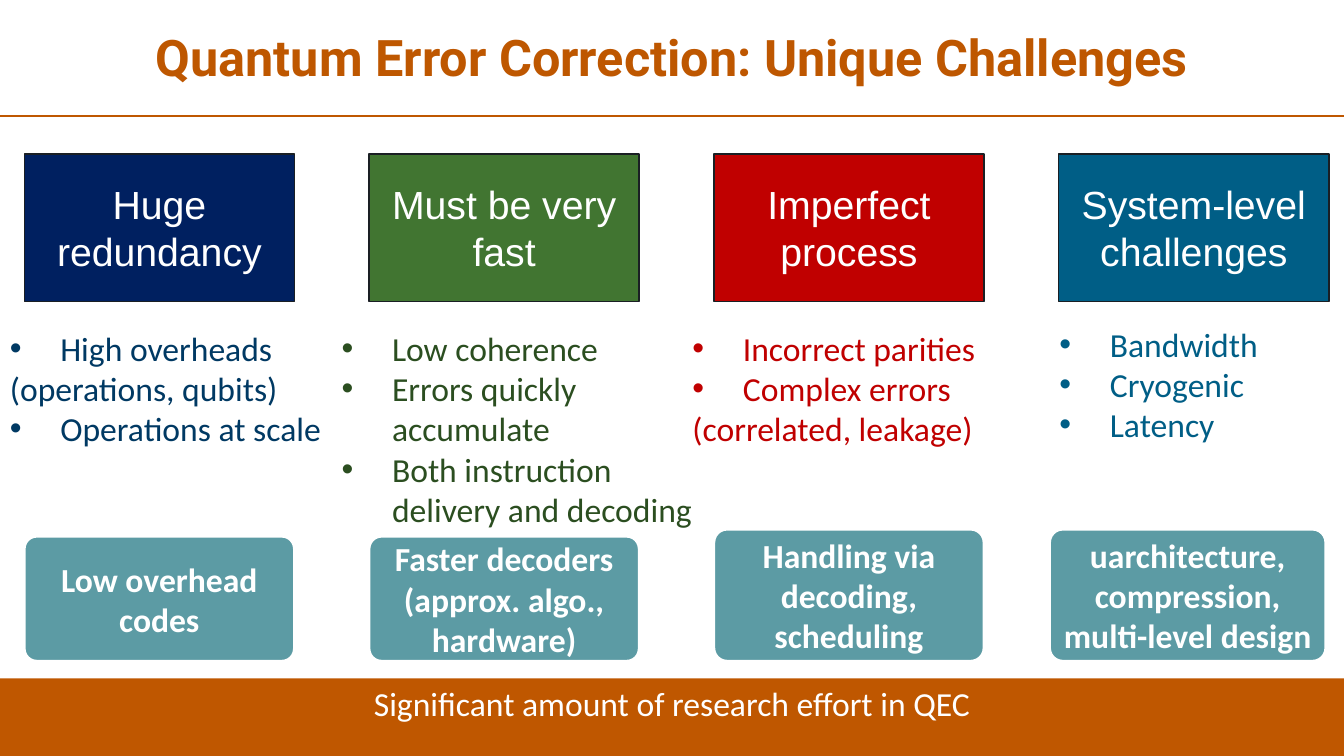
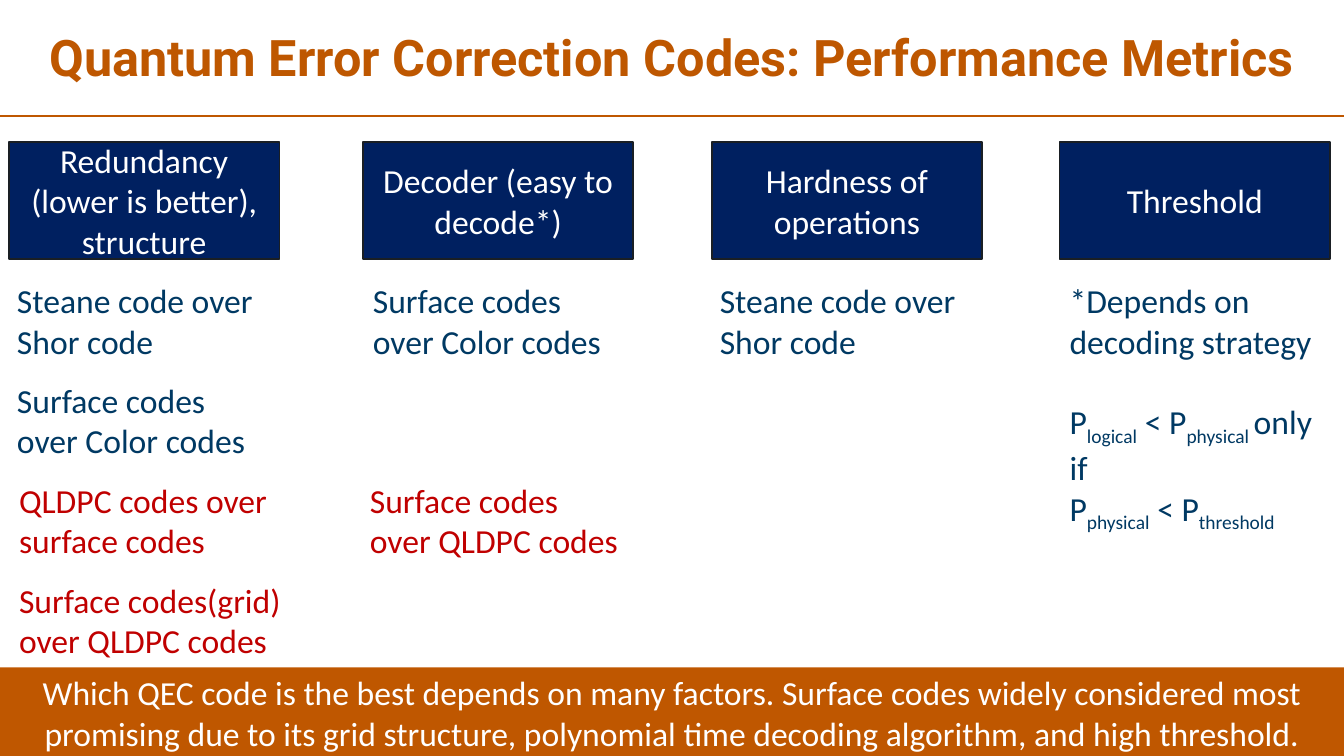
import pptx
import pptx.util
import pptx.dml.color
import pptx.enum.shapes
import pptx.enum.text
import pptx.oxml
import pptx.oxml.ns
import lxml.etree

Inches, Pt = pptx.util.Inches, pptx.util.Pt
RGBColor = pptx.dml.color.RGBColor
SHAPE = pptx.enum.shapes.MSO_SHAPE
ALIGN = pptx.enum.text.PP_ALIGN
ANCHOR = pptx.enum.text.MSO_ANCHOR
FIT = pptx.enum.text.MSO_AUTO_SIZE
qn = pptx.oxml.ns.qn

ORANGE = RGBColor(0xBF, 0x57, 0x00)
TITLE_ORANGE = RGBColor(0xBE, 0x57, 0x00)
WHITE = RGBColor(0xFF, 0xFF, 0xFF)
OUTLINE = RGBColor(0x1A, 0x1F, 0x24)
NAVY = RGBColor(0x00, 0x20, 0x60)
GREEN = RGBColor(0x41, 0x75, 0x31)
RED = RGBColor(0xC0, 0x00, 0x00)
BLUE = RGBColor(0x00, 0x5E, 0x86)
TEAL = RGBColor(0x5C, 0x9B, 0xA4)
DARK_BLUE = RGBColor(0x00, 0x39, 0x63)
DARK_GREEN = RGBColor(0x2B, 0x4E, 0x20)

SLIDE_W, SLIDE_H = 13.33, 7.5
BOX_W = 2.68
TITLE_FONT = {"name": "Roboto", "size": Pt(36), "bold": True}
BODY_FONT = {"name": "Calibri", "size": Pt(24)}
BOLD_FONT = {**BODY_FONT, "bold": True}
HEAD_FONT = {"name": "Arial", "size": Pt(28)}

CHALLENGES = [
    {"head": "Huge redundancy", "fill": NAVY, "color": DARK_BLUE,
     "points": ["• High overheads", "(operations, qubits)", "• Operations at scale"],
     "points_at": (0, 3.2, 3.42, 1.31),
     "answer": "Low overhead codes", "answer_at": (0.24, 5.32, BOX_W, 1.24)},
    {"head": "Must be very fast", "fill": GREEN, "color": DARK_GREEN,
     "points": ["• Low coherence", "• Errors quickly accumulate",
                "• Both instruction delivery and decoding"],
     "points_at": (3.29, 3.2, 3.73, 2.12),
     "answer": "Faster decoders (approx. algo., hardware)",
     "answer_at": (3.66, 5.32, BOX_W, 1.24)},
    {"head": "Imperfect process", "fill": RED, "color": RED,
     "points": ["• Incorrect parities", "• Complex errors", "(correlated, leakage)"],
     "points_at": (6.77, 3.2, 3.73, 1.31),
     "answer": "Handling via decoding, scheduling",
     "answer_at": (7.08, 5.25, BOX_W, 1.31)},
    {"head": "System-level challenges", "fill": BLUE, "color": BLUE,
     "points": ["• Bandwidth", "• Cryogenic", "• Latency"],
     "points_at": (10.41, 3.16, 2.9, 1.31),
     "answer": "uarchitecture, compression, multi-level design",
     "answer_at": (10.41, 5.25, 2.74, 1.31)},
]

METRICS = [
    (0.09, "Redundancy (lower is better), structure", [
        (-0.02, 0, BOX_W, DARK_BLUE, ["Steane code over Shor code"]),
        (-0.02, 1, BOX_W, DARK_BLUE, ["Surface codes over Color codes"]),
        (0, 2, BOX_W, RED, ["QLDPC codes over surface codes"]),
        (0, 3, 3.09, RED, ["Surface codes(grid) over QLDPC codes"])]),
    (3.6, "Decoder (easy to decode*)", [
        (0, 0, BOX_W, DARK_BLUE, ["Surface codes over Color codes"]),
        (-0.03, 2, BOX_W, RED, ["Surface codes over QLDPC codes"])]),
    (7.06, "Hardness of operations", [
        (-0.02, 0, BOX_W, DARK_BLUE, ["Steane code over Shor code"])]),
    (10.51, "Threshold", [
        (0, 0, BOX_W, DARK_BLUE, ["*Depends on decoding strategy",
                                  "P~logical~ < P~physical ~only if",
                                  "P~physical~ < P~threshold~"])]),
]


def place(box):
    """Turn a box in inches into lengths."""
    return [Inches(v) for v in box]


def add_bullet(p):
    """Give a paragraph a hanging round bullet."""
    pPr = p._p.get_or_add_pPr()
    pPr.set("marL", str(Inches(0.5)))
    pPr.set("indent", str(-Inches(0.5)))
    lxml.etree.SubElement(pPr, qn("a:buFont")).set("typeface", "Arial")
    lxml.etree.SubElement(pPr, qn("a:buChar")).set("char", "•")


def write(tf, lines, font, color, align=ALIGN.LEFT):
    """Write paragraphs; a leading • makes a bullet, ~ marks a subscript."""
    tf.word_wrap = True
    for i, line in enumerate(lines):
        p = tf.paragraphs[0] if i == 0 else tf.add_paragraph()
        p.alignment = align
        if line.startswith("• "):
            add_bullet(p)
            line = line[2:]
        for j, piece in enumerate(line.split("~")):
            if not piece:
                continue
            r = p.add_run()
            r.text = piece
            for key, value in font.items():
                setattr(r.font, key, value)
            r.font.color.rgb = color
            if j % 2:
                r.font._element.set("baseline", "-25000")


def add_box(s, box, text, fill, font=BODY_FONT, line=None, kind=SHAPE.RECTANGLE,
            anchor=ANCHOR.MIDDLE):
    """Add a filled shape with centred white text; line is (colour, points)."""
    sp = s.shapes.add_shape(kind, *place(box))
    sp.shadow.inherit = False
    sp.fill.solid()
    sp.fill.fore_color.rgb = fill
    if line:
        sp.line.color.rgb = line[0]
        sp.line.width = Pt(line[1])
    else:
        sp.line.fill.background()
    sp.text_frame.vertical_anchor = anchor
    write(sp.text_frame, [text], font, WHITE, ALIGN.CENTER)
    return sp


def add_text(s, box, lines, color):
    """Add a text box of body text."""
    tf = s.shapes.add_textbox(*place(box)).text_frame
    write(tf, lines, BODY_FONT, color)
    tf.auto_size = FIT.SHAPE_TO_FIT_TEXT
    return tf


def add_frame(prs, title, band_text, band_top):
    """Start a slide with its title, rule and bottom band."""
    s = prs.slides.add_slide(prs.slide_layouts[5])
    sp = s.shapes.title
    sp.left, sp.top, sp.width, sp.height = place((0.09, 0.04, 13.15, 1.11))
    tf = sp.text_frame
    tf.auto_size = FIT.NONE
    tf.vertical_anchor = ANCHOR.MIDDLE
    write(tf, [title], TITLE_FONT, TITLE_ORANGE, ALIGN.CENTER)
    tf.paragraphs[0].line_spacing = 0.9
    rule = s.shapes.add_connector(pptx.enum.shapes.MSO_CONNECTOR.STRAIGHT,
                                  *place((0, 1.15, SLIDE_W, 1.15)))
    rule.line.color.rgb = ORANGE
    rule.line.width = Pt(1.5)
    lxml.etree.SubElement(rule._element.spPr, qn("a:effectLst"))
    add_box(s, (0, band_top, SLIDE_W, SLIDE_H - band_top), band_text, ORANGE,
            anchor=ANCHOR.TOP)
    return s


def add_challenge(s, x, y, c):
    """Add one challenge column: heading, points and answer."""
    add_box(s, (x, y, BOX_W, 1.46), c["head"], c["fill"], HEAD_FONT, (OUTLINE, 1))
    add_text(s, c["points_at"], c["points"], c["color"])
    sp = add_box(s, c["answer_at"], c["answer"], TEAL, BOLD_FONT, (WHITE, 2),
                 SHAPE.ROUNDED_RECTANGLE)
    sp.adjustments[0] = 0.1


def add_metric(s, x, y, head, notes):
    """Add one metric column: heading and notes in rows below it."""
    add_box(s, (x, y, BOX_W, 1.16), head, NAVY, line=(OUTLINE, 1))
    for dx, row, w, color, lines in notes:
        h = 0.91 if len(lines) == 1 else 2.52
        tf = add_text(s, (x + dx, y + 1.32 + row * 0.99, w, h), lines, color)
        if len(lines) > 1:
            tf.paragraphs[1].space_before = Pt(29)


def main():
    """Build and save the deck."""
    prs = pptx.Presentation()
    prs.slide_width, prs.slide_height = Inches(SLIDE_W), Inches(SLIDE_H)

    s = add_frame(prs, "Quantum Error Correction: Unique Challenges",
                  "Significant amount of research effort in QEC", 6.73)
    for i, challenge in enumerate(CHALLENGES):
        add_challenge(s, 0.24 + i * 3.42, 1.53, challenge)

    s = add_frame(prs, "Quantum Error Correction Codes: Performance Metrics",
                  "Which QEC code is the best depends on many factors. Surface codes "
                  "widely considered most promising due to its grid structure, "
                  "polynomial time decoding algorithm, and high threshold.", 6.62)
    for x, head, notes in METRICS:
        add_metric(s, x, 1.41, head, notes)

    prs.save("out.pptx")


if __name__ == "__main__":
    main()
